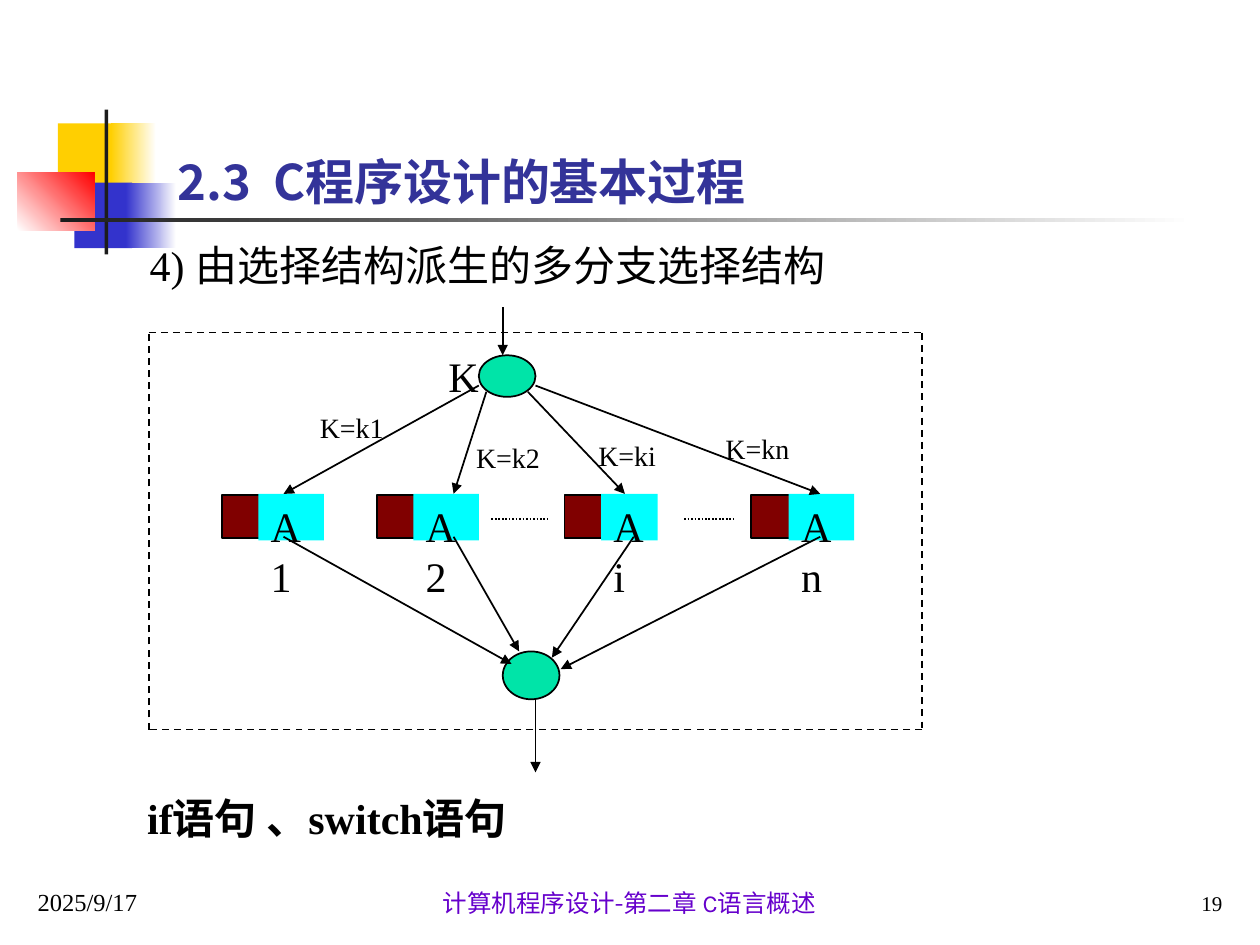
from pptx import Presentation
from pptx.dml.color import RGBColor
from pptx.enum.dml import MSO_LINE
from pptx.enum.shapes import MSO_CONNECTOR, MSO_SHAPE
from pptx.enum.text import MSO_ANCHOR, PP_ALIGN
from pptx.oxml.ns import qn
from pptx.util import Inches, Pt
from lxml import etree

RECT, OVAL = MSO_SHAPE.RECTANGLE, MSO_SHAPE.OVAL
TOP, BOTTOM = MSO_ANCHOR.TOP, MSO_ANCHOR.BOTTOM
LEFT, MID, RIGHT = PP_ALIGN.LEFT, PP_ALIGN.CENTER, PP_ALIGN.RIGHT
DASH, DOTS = MSO_LINE.DASH, MSO_LINE.ROUND_DOT
SERIF, SANS, CJK = "Times New Roman", "Karla", "Noto Sans CJK SC"
BLACK, WHITE = "000000", "FFFFFF"
hue = RGBColor.from_string

deck = Presentation()
deck.slide_width, deck.slide_height = Inches(10), Inches(7.5)
slide = deck.slides.add_slide(deck.slide_layouts[6])
parts = slide.shapes

# Grid of 100 columns by 75 rows
COL, ROW = deck.slide_width / 100, deck.slide_height / 75


def box(x, y, w, h, fill=None, end=None, turn=0, edge=False, kind=RECT,
        text="", size=24, font=SERIF, ink=BLACK, bold=False,
        align=LEFT, anchor=TOP, wrap=True):
    """Add a shape, or a text box when there is no fill; end makes a gradient."""
    place = [int(v) for v in (x * COL, y * ROW, w * COL, h * ROW)]
    if fill:
        part = parts.add_shape(kind, *place)
        part.shadow.inherit = False
        if end:
            part.fill.gradient()
            part.fill.gradient_angle = turn
            for stop, tone in zip(part.fill.gradient_stops, (fill, end)):
                stop.color.rgb = hue(tone)
        else:
            part.fill.solid()
            part.fill.fore_color.rgb = hue(fill)
        if edge:
            part.line.color.rgb = hue(BLACK)
            part.line.width = Pt(1)
        else:
            part.line.fill.background()
    else:
        part = parts.add_textbox(*place)
    if text:
        frame = part.text_frame
        frame.text = text
        frame.word_wrap = wrap
        frame.vertical_anchor = anchor
        frame.paragraphs[0].alignment = align
        run = frame.paragraphs[0].runs[0]
        run.font.size, run.font.name, run.font.bold = Pt(size), font, bold
        run.font.color.rgb = hue(ink)
        east = etree.SubElement(run.font._element, qn("a:ea"))
        east.set("typeface", CJK)


def line(x1, y1, x2, y2, dash=None, arrow=True):
    """Add a thin black line, with an arrowhead at its end by default."""
    link = parts.add_connector(MSO_CONNECTOR.STRAIGHT, int(x1 * COL),
                               int(y1 * ROW), int(x2 * COL), int(y2 * ROW))
    link.line.color.rgb = hue(BLACK)
    link.line.width = Pt(1)
    if dash:
        link.line.dash_style = dash
    if arrow:
        tip = etree.SubElement(link.line._get_or_add_ln(), qn("a:tailEnd"))
        tip.set("type", "triangle")
    etree.SubElement(link._element.spPr, qn("a:effectLst"))


# Corner squares and title rule
GOLD, BLUE, RED, DARK = "FFCF01", "3333CC", "FF0000", "1C1C1C"
for x, y, w, h, fill, end, turn in (
        (4.6, 9.8, 4.8, 5.2, GOLD, None, 0),
        (8.8, 9.8, 3.6, 5.2, GOLD, WHITE, 0),
        (5.9, 14.5, 4.6, 5.2, BLUE, None, 0),
        (10, 14.5, 4, 5.2, BLUE, WHITE, 0),
        (1.4, 13.7, 6.1, 4.6, WHITE, RED, 45),
        (8.3, 8.7, 0.3, 11.5, DARK, None, 0),
        (4.8, 17.3, 90, 0.3, DARK, WHITE, 0)):
    box(x, y, w, h, fill, end, turn)

# Dashed frame
x1, y1, x2, y2 = 11.8, 26.4, 73.2, 57.9
ends = [(x1, y1), (x2, y1), (x2, y2), (x1, y2)]
for here, there in zip(ends, ends[1:] + ends[:1]):
    line(*here, *there, dash=DASH, arrow=False)

# Entry and exit nodes
box(38, 28.2, 4.5, 3.3, "00E4A8", edge=True, kind=OVAL)
box(39.9, 51.7, 4.5, 3.8, "00E4A8", edge=True, kind=OVAL)
line(39.9, 24.4, 39.9, 28.2)
line(42.5, 55.5, 42.5, 61.3)
box(34.6, 27.3, 3.9, 3.7, text="K")

# Branches: name, back box x and w, front box x and w,
# arrow in (from, to x), arrow out (from x, to), label place
for name, bx, bw, fx, fw, start, hit, out, stop, tag in (
        ("1", 17.6, 4.5, 20.5, 5.2, (38, 30.6), 22.5, 22.5, (40.6, 52.7), (24.4, 32.1)),
        ("2", 29.9, 5.2, 32.8, 5.2, (38.6, 31.1), 36, 36, (41.2, 51.7), (36.8, 34.5)),
        ("i", 44.8, 4.5, 47.7, 4.5, (41.9, 31.1), 49.6, 50.3, (43.8, 52.2), (46.5, 34.3)),
        ("n", 59.6, 5.2, 62.6, 5.2, (42.5, 30.6), 65.1, 65.1, (44.5, 53.1), (56.6, 33.8))):
    box(bx, 39.3, bw, 3.4, "800000", edge=True)
    box(fx, 39.2, fw, 3.7, "00FFFF", text="A" + name)
    line(*start, hit, 39.2)
    line(out, 42.6, *stop)
    box(*tag, 8, 3.7, text="K=k" + name, size=16)

# Dots between branches
for x1, x2 in ((39, 43.5), (54.3, 58.2)):
    line(x1, 41.2, x2, 41.2, dash=DOTS, arrow=False)

# Title, heading, closing line
box(13.1, 11.5, 49.4, 5.7, text="2.3  C程序设计的基本过程", size=28,
    font=CJK, ink="333399", bold=True, wrap=False)
box(10.9, 18.5, 56.7, 5, text="4) 由选择结构派生的多分支选择结构")
box(10.7, 62.4, 38.8, 5, text="if语句 、switch语句", bold=True)

# Footer
box(2, 68.2, 12.6, 5, text="2025/9/17", size=14, anchor=BOTTOM)
box(16.1, 68.3, 67.7, 5, text="计算机程序设计-第二章 C语言概述", size=14,
    font=SANS, ink="6600CC", align=MID, anchor=BOTTOM)
box(85.4, 68.2, 12.6, 5, text="19", size=12, align=RIGHT, anchor=BOTTOM)

deck.save("out.pptx")
